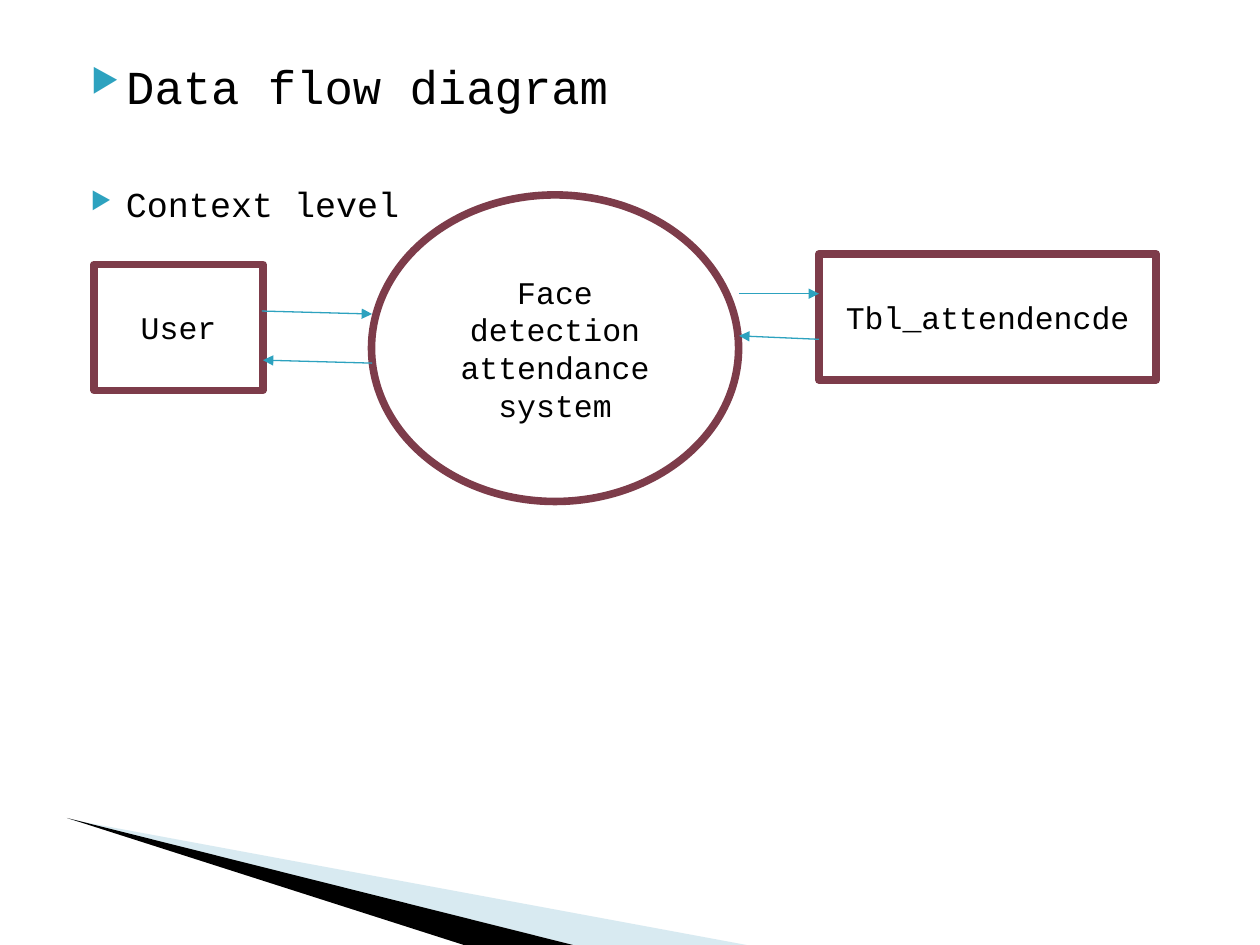
from lxml import etree
from pptx import Presentation
from pptx.dml.color import RGBColor
from pptx.enum.shapes import MSO_CONNECTOR, MSO_SHAPE
from pptx.enum.text import MSO_ANCHOR, PP_ALIGN
from pptx.oxml.ns import qn
from pptx.util import Cm, Pt

RECT, OVAL = MSO_SHAPE.RECTANGLE, MSO_SHAPE.OVAL
LINE = MSO_CONNECTOR.STRAIGHT
TOP, MIDDLE = MSO_ANCHOR.TOP, MSO_ANCHOR.MIDDLE
LEFT, CENTER = PP_ALIGN.LEFT, PP_ALIGN.CENTER

FACE = "Courier New"
INK, PAPER, PLUM, TEAL, SKY = "000000", "FFFFFF", "7D3C4A", "2DA2BF", "9FCBDC"

TITLE = ("Data flow diagram", (1.27, 1.02, 22.86, 1.5), 27)
LEVEL = ("Context level", (1.27, 3.56, 8, 1.1), 20)
WEDGES = [
    (SKY, 40, [(1.4, 16.52), (15.05, 19.05), (11.55, 19.05)]),
    (INK, 100, [(1.35, 16.49), (11.55, 19.05), (9.35, 19.05)]),
]
NODES = [
    ("User", RECT, (1.9, 5.33, 3.4, 2.54)),
    ("Face detection attendance system", OVAL, (7.49, 3.93, 7.4, 6.18)),
    ("Tbl_attendencde", RECT, (16.51, 5.12, 6.8, 2.54)),
]
FLOWS = [
    (5.28, 6.27, 7.5, 6.33),
    (14.9, 5.92, 16.51, 5.92),
    (16.51, 6.84, 14.9, 6.77),
    (7.5, 7.32, 5.3, 7.26),
]


def color(code):
    return RGBColor.from_string(code)


def lengths(nums):
    return [Cm(num) for num in nums]


def add(node, tag, **attrs):
    return etree.SubElement(node, qn(tag), attrs)


def assign(thing, values):
    for name, value in values.items():
        setattr(thing, name, value)


def write(frame, text, size, align, anchor):
    assign(frame, {"text": text, "word_wrap": True, "vertical_anchor": anchor})
    para = frame.paragraphs[0]
    para.alignment = align
    run = para.runs[0]
    assign(run.font, {"name": FACE, "size": Pt(size), "bold": False})
    run.font.color.rgb = color(INK)
    return para


def bullet(shape, text, box, size):
    assign(shape, dict(zip(("left", "top", "width", "height"), lengths(box))))
    para = write(shape.text_frame, text, size, LEFT, TOP)
    props = para._p.get_or_add_pPr()
    props.set("marL", str(Cm(1.02)))
    props.set("indent", str(-Cm(0.71)))
    add(add(props, "a:buClr"), "a:srgbClr", val=TEAL)
    add(props, "a:buSzPct", val="68000")
    add(props, "a:buChar", char="▶")


def wedge(shapes, fill, alpha, points):
    spots = [lengths(point) for point in points]
    pen = shapes.build_freeform(*spots[0])
    pen.add_line_segments(spots[1:], close=True)
    shape = pen.convert_to_shape()
    shape.shadow.inherit = False
    shape.fill.solid()
    shape.fill.fore_color.rgb = color(fill)
    shape.line.fill.background()
    if alpha < 100:
        tint = shape._element.spPr.find(".//" + qn("a:srgbClr"))
        add(tint, "a:alpha", val=str(alpha * 1000))


def node(shapes, text, kind, box):
    shape = shapes.add_shape(kind, *lengths(box))
    shape.shadow.inherit = False
    shape.fill.solid()
    shape.fill.fore_color.rgb = color(PAPER)
    shape.line.color.rgb = color(PLUM)
    shape.line.width = Pt(4.34)
    write(shape.text_frame, text, 18, CENTER, MIDDLE)


def flow(shapes, ends):
    link = shapes.add_connector(LINE, *lengths(ends))
    link.line.color.rgb = color(TEAL)
    link.line.width = Pt(0.75)
    add(link.line._get_or_add_ln(), "a:tailEnd", type="triangle")
    add(link._element.spPr, "a:effectLst")


def main():
    deck = Presentation()
    assign(deck, {"slide_width": Cm(25.4), "slide_height": Cm(19.05)})
    slide = deck.slides.add_slide(deck.slide_layouts[5])
    shapes = slide.shapes
    for item in WEDGES:
        wedge(shapes, *item)
    bullet(shapes.title, *TITLE)
    bullet(shapes.add_textbox(0, 0, 0, 0), *LEVEL)
    for item in NODES:
        node(shapes, *item)
    for ends in FLOWS:
        flow(shapes, ends)
    deck.save("out.pptx")


if __name__ == "__main__":
    main()
